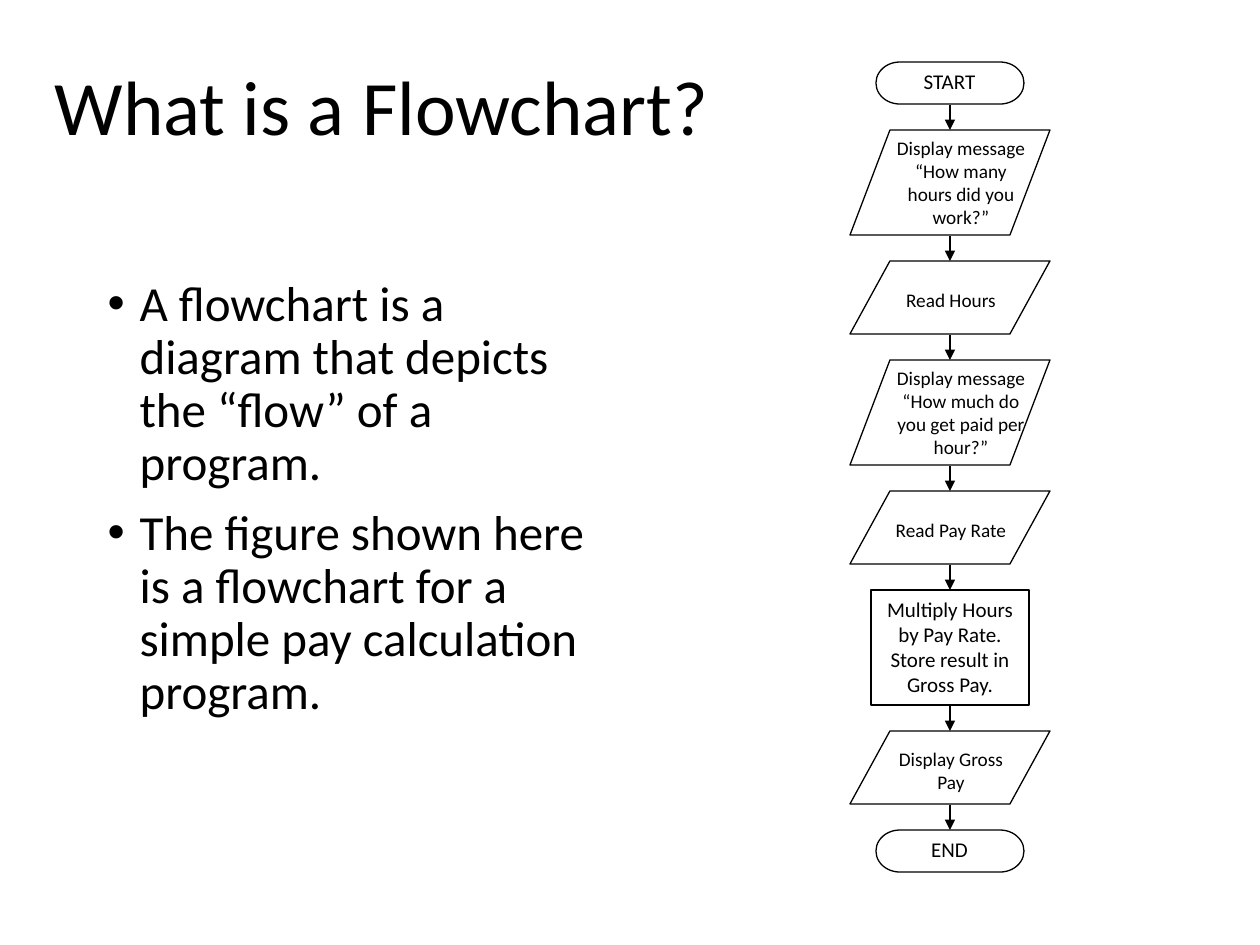
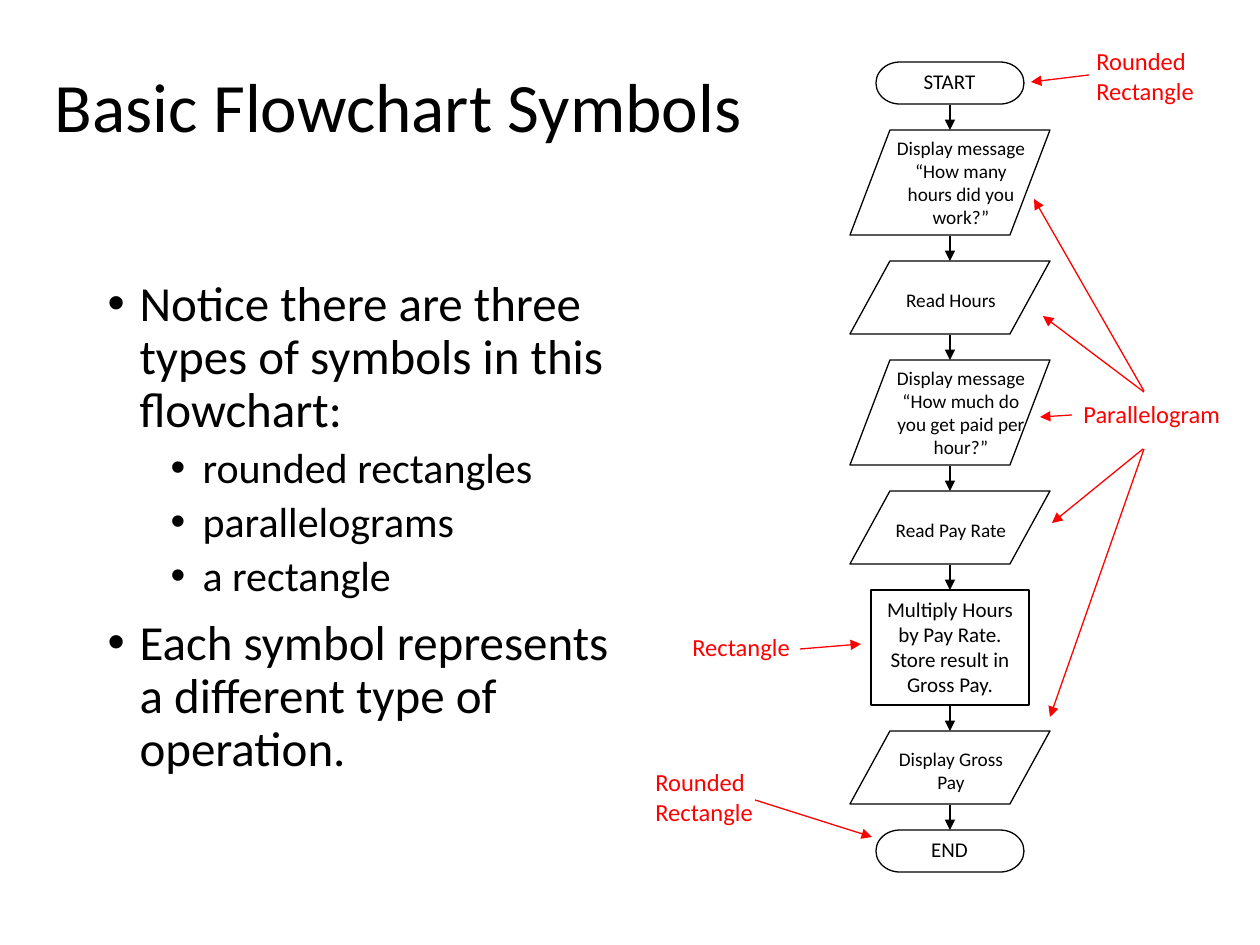
from lxml.etree import SubElement
from pptx import Presentation
from pptx.dml.color import RGBColor
from pptx.enum.shapes import MSO_CONNECTOR, MSO_SHAPE as SHAPE
from pptx.enum.text import MSO_ANCHOR as ANCHOR, MSO_AUTO_SIZE as FIT, PP_ALIGN as ALIGN
from pptx.oxml.ns import qn
from pptx.util import Pt

SCALE = 914400 / 126
FONT = "Calibri"
BLACK, RED = "000000", "FF0000"
color_of = RGBColor.from_string

CENTER, FLOW_TOP, GAP = 950, 62, 26
SYMBOLS = {
    "terminal": (SHAPE.FLOWCHART_TERMINATOR, 148, 42),
    "prompt": (SHAPE.FLOWCHART_DATA, 200, 105),
    "data": (SHAPE.FLOWCHART_DATA, 200, 73),
    "process": (SHAPE.RECTANGLE, 158, 115),
}
STEPS = [
    ("terminal", "START", 12, (897, 0, 105, 38)),
    ("prompt", "Display message “How many hours did you work?”", 11, (882, 0, 158, 106)),
    ("data", "Read Hours", 11, (872, 21, 158, 35)),
    ("prompt", "Display message “How much do you get paid per hour?”", 11, (882, 0, 158, 106)),
    ("data", "Read Pay Rate", 11, (872, 21, 158, 35)),
    ("process", "Multiply Hours by Pay Rate. Store result in Gross Pay.", 12, None),
    ("data", "Display Gross Pay", 11, (872, 10, 158, 59)),
    ("terminal", "END", 12, (897, 0, 105, 38)),
]
LEVELS = [
    {"size": 28, "left": 32, "before": 10},
    {"size": 24, "left": 95, "before": 5},
]
LABELS = [
    ("Rounded Rectangle", (1084, 40, 149, 72)),
    ("Parallelogram", (1071, 393, 163, 42)),
    ("Rectangle", (680, 626, 149, 42)),
    ("Rounded Rectangle", (643, 761, 149, 72)),
]
POINTERS = [
    (1089, 75, 1031, 82),
    (800, 649, 861, 644),
    (1144, 391, 1034, 199),
    (1144, 392, 1043, 316),
    (1072, 415, 1040, 417),
    (1143, 449, 1052, 523),
    (1144, 449, 1050, 717),
    (755, 800, 872, 837),
]
PAGES = [
    {
        "title": "What is a Flowchart?", "title_size": 44, "body_width": 525,
        "points": [
            (0, "A flowchart is a diagram that depicts the “flow” of a program."),
            (0, "The figure shown here is a flowchart for a simple pay calculation program."),
        ],
        "labels": [], "pointers": [],
    },
    {
        "title": "Basic Flowchart Symbols", "title_size": 39.6, "body_width": 548,
        "points": [
            (0, "Notice there are three types of symbols in this flowchart:"),
            (1, "rounded rectangles"),
            (1, "parallelograms"),
            (1, "a rectangle"),
            (0, "Each symbol represents a different type of operation."),
        ],
        "labels": LABELS, "pointers": POINTERS,
    },
]


def emu(*lengths):
    return [round(length * SCALE) for length in lengths]


def add_arrow(shapes, ends, color):
    arrow = shapes.add_connector(MSO_CONNECTOR.STRAIGHT, *emu(*ends))
    arrow.line.color.rgb = color_of(color)
    arrow.line.width = Pt(0.75)
    properties = arrow.element.spPr
    SubElement(properties.find(qn("a:ln")), qn("a:tailEnd"), type="triangle")
    SubElement(properties, qn("a:effectLst"))


deck = Presentation()
deck.slide_width, deck.slide_height = emu(1260, 945)

for content in PAGES:
    page = deck.slides.add_slide(deck.slide_layouts[1])
    title, body = page.placeholders
    for holder, place in (
        (title, (42, 32, 746, 157)),
        (body, (95, 273, content["body_width"], 567)),
    ):
        for name, value in zip(("left", "top", "width", "height"), emu(*place)):
            setattr(holder, name, value)
        holder.text_frame.auto_size = FIT.NONE

    title.text_frame.vertical_anchor = ANCHOR.MIDDLE
    para = title.text_frame.paragraphs[0]
    para.alignment = ALIGN.LEFT
    para.line_spacing = 0.9
    spans = [(para.add_run(), content["title"], content["title_size"], BLACK)]

    for number, (depth, text) in enumerate(content["points"]):
        frame = body.text_frame
        para = frame.add_paragraph() if number else frame.paragraphs[0]
        level = LEVELS[depth]
        para.level = depth
        properties = para._p.get_or_add_pPr()
        margin, indent = emu(level["left"], -32)
        properties.set("marL", str(margin))
        properties.set("indent", str(indent))
        SubElement(properties, qn("a:buFont"), typeface="Arial")
        SubElement(properties, qn("a:buChar"), char="•")
        para.line_spacing = 0.9
        para.space_before = Pt(level["before"] if number else 0)
        spans.append((para.add_run(), text, level["size"], BLACK))

    flow = page.shapes.add_group_shape().shapes
    boxes = []
    top = FLOW_TOP
    for number, (kind, text, size, place) in enumerate(STEPS):
        preset, width, height = SYMBOLS[kind]
        symbol = flow.add_shape(preset, *emu(CENTER - width / 2, top, width, height))
        symbol.shadow.inherit = False
        symbol.fill.background()
        symbol.line.color.rgb = color_of(BLACK)
        symbol.line.width = Pt(0.75)
        box = symbol
        if place:
            left, offset, text_width, text_height = place
            box = flow.add_textbox(*emu(left, top + offset, text_width, text_height))
        boxes.append((box, text, size, BLACK, ALIGN.CENTER))
        bottom = top + height
        top = bottom + GAP
        if number < len(STEPS) - 1:
            add_arrow(flow, (CENTER, bottom + 1, CENTER, top), BLACK)

    for text, place in content["labels"]:
        boxes.append((page.shapes.add_textbox(*emu(*place)), text, 14, RED, ALIGN.LEFT))
    for ends in content["pointers"]:
        add_arrow(page.shapes, ends, RED)

    for box, text, size, color, alignment in boxes:
        frame = box.text_frame
        frame.word_wrap = True
        frame.vertical_anchor = ANCHOR.TOP
        para = frame.paragraphs[0]
        para.alignment = alignment
        spans.append((para.add_run(), text, size, color))

    for span, text, size, color in spans:
        span.text = text
        span.font.color.rgb = color_of(color)
        for name, value in {"name": FONT, "size": Pt(size)}.items():
            setattr(span.font, name, value)

deck.save("out.pptx")
